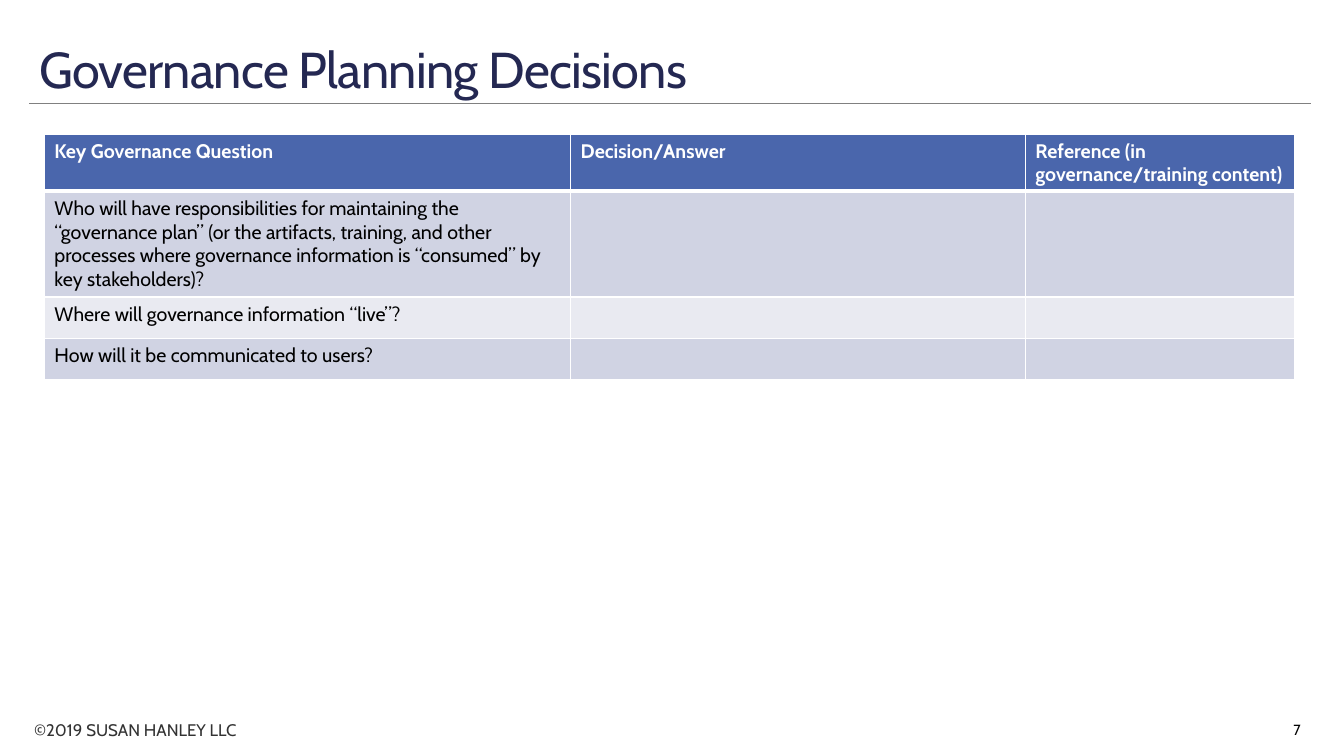
from dataclasses import dataclass

from lxml import etree
from pptx import Presentation
from pptx.dml.color import RGBColor
from pptx.enum.shapes import MSO_CONNECTOR
from pptx.enum.text import MSO_ANCHOR, PP_ALIGN
from pptx.oxml.ns import qn
from pptx.util import Pt

PX = 9144
STRAIGHT = MSO_CONNECTOR.STRAIGHT
TOP, MIDDLE, BOTTOM = MSO_ANCHOR.TOP, MSO_ANCHOR.MIDDLE, MSO_ANCHOR.BOTTOM
LEFT, RIGHT = PP_ALIGN.LEFT, PP_ALIGN.RIGHT


@dataclass(frozen=True)
class Theme:
    font: str = "Cabin"
    title: str = "242852"
    text: str = "000000"
    footer: str = "333333"
    rule: str = "808080"
    header: str = "4A66AC"
    bands: tuple = ("D0D3E3", "E9EAF1")
    white: str = "FFFFFF"
    title_size: float = 36
    table_size: float = 14
    footer_size: float = 12
    number_size: float = 10.5


THEME = Theme()
COLUMNS = [522, 451, 267]
ROWS = [56, 105, 41, 41]
HEADINGS = ["Key Governance Question", "Decision/Answer",
            "Reference (in governance/training content)"]
QUESTIONS = [
    "Who will have responsibilities for maintaining the “governance plan” "
    "(or the artifacts, training, and other processes where governance "
    "information is “consumed” by key stakeholders)?",
    "Where will governance information “live”?",
    "How will it be communicated to users?",
]


def px(*lengths):
    return [n * PX for n in lengths]


def style(p, size, color, bold=False):
    p.font.name = THEME.font
    p.font.size = Pt(size)
    p.font.bold = bold
    p.font.color.rgb = RGBColor.from_string(color)


def add_text(s, box, text, size, color, anchor=TOP, align=LEFT):
    tf = s.shapes.add_textbox(*px(*box)).text_frame
    tf.word_wrap = True
    tf.vertical_anchor = anchor
    p = tf.paragraphs[0]
    p.text = text
    p.alignment = align
    style(p, size, color)
    return p


def add_title(s, box, text):
    x, y, w, h = box
    line = s.shapes.add_connector(STRAIGHT, *px(x, y + h, x + w, y + h))
    line.line.color.rgb = RGBColor.from_string(THEME.rule)
    line.line.width = Pt(0.5)
    etree.SubElement(line._element.spPr, qn("a:effectLst"))
    p = add_text(s, box, text, THEME.title_size, THEME.title, BOTTOM)
    p.line_spacing = 0.85
    p.runs[0].font._element.set("spc", "-50")


def set_borders(cell, widths):
    tcPr = cell._tc.get_or_add_tcPr()
    for i, (side, width) in enumerate(widths.items()):
        ln = etree.Element(qn(f"a:ln{side}"), w=str(Pt(width)))
        fill = etree.SubElement(ln, qn("a:solidFill"))
        etree.SubElement(fill, qn("a:srgbClr"), val=THEME.white)
        tcPr.insert(i, ln)


def add_decisions(s, box, rows):
    tbl = s.shapes.add_table(len(rows), len(COLUMNS), *px(*box)).table
    for col, width in zip(tbl.columns, px(*COLUMNS)):
        col.width = width
    for row, height in zip(tbl.rows, px(*ROWS)):
        row.height = height
    for i, texts in enumerate(rows):
        head = i == 0
        fill = THEME.header if head else THEME.bands[(i - 1) % 2]
        borders = {"L": 1, "R": 1, "T": 3 if i == 1 else 1, "B": 3 if head else 1}
        for j, text in enumerate(texts):
            cell = tbl.cell(i, j)
            cell.text = text
            cell.fill.solid()
            cell.fill.fore_color.rgb = RGBColor.from_string(fill)
            set_borders(cell, borders)
            style(cell.text_frame.paragraphs[0], THEME.table_size,
                  THEME.white if head else THEME.text, head)


def add_footer(s, box, owner, number):
    x, y, w, h = box
    add_text(s, (x, y + 5, 281, 30), owner, THEME.footer_size, THEME.footer)
    add_text(s, (x + w - 143, y, 143, h), number, THEME.number_size,
             THEME.text, MIDDLE, RIGHT)


def main():
    prs = Presentation()
    prs.slide_width, prs.slide_height = px(1333, 750)
    s = prs.slides.add_slide(prs.slide_layouts[6])
    add_title(s, (29, 19, 1271, 84), "Governance Planning Decisions")
    add_decisions(s, (44, 133, sum(COLUMNS), sum(ROWS)),
                  [HEADINGS] + [[q, "", ""] for q in QUESTIONS])
    add_footer(s, (24, 704, 1276, 40), "©2019 SUSAN HANLEY LLC", "7")
    prs.save("out.pptx")


if __name__ == "__main__":
    main()
